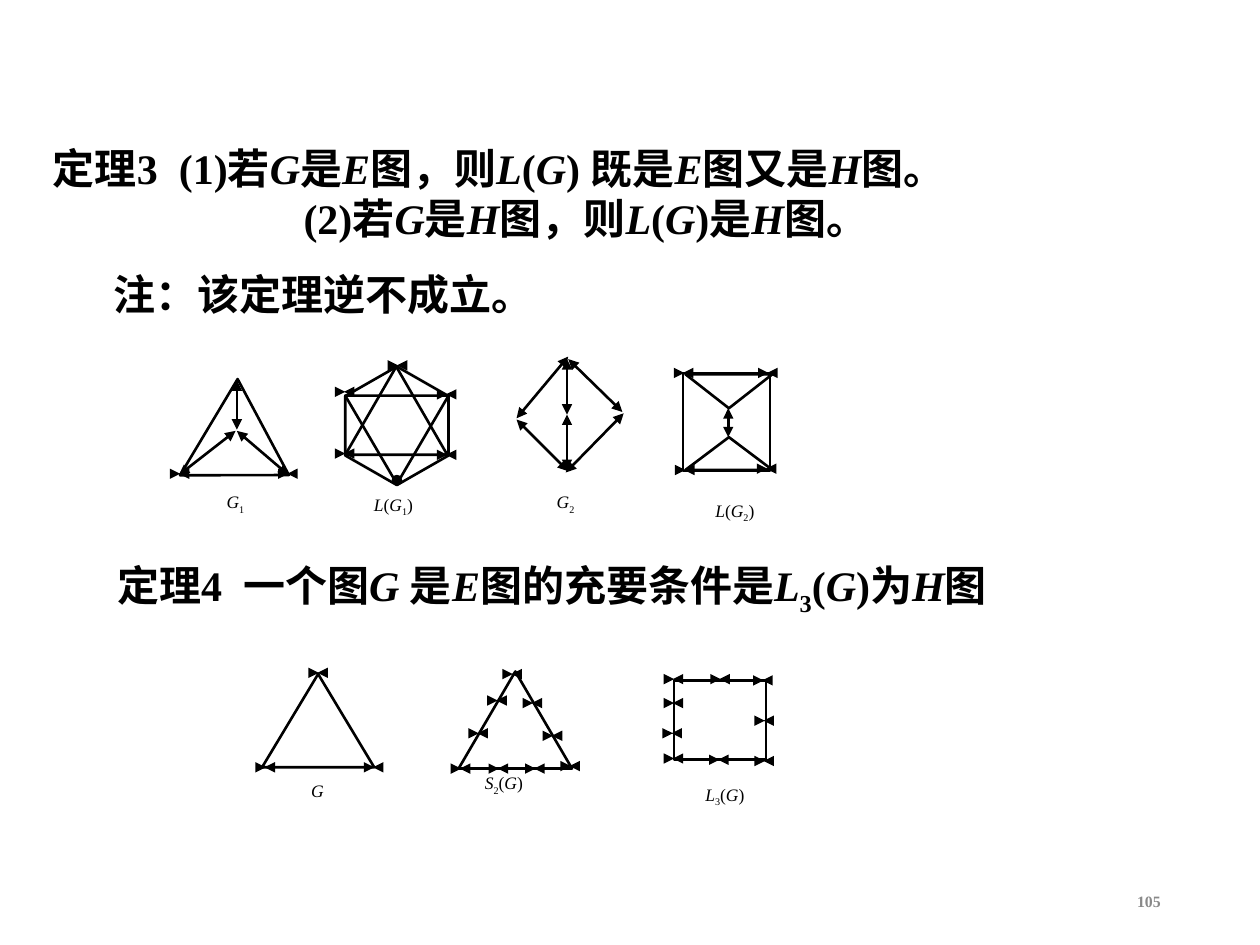
from dataclasses import dataclass
from itertools import groupby

from lxml.etree import SubElement
from pptx import Presentation
from pptx.dml.color import RGBColor
from pptx.enum.shapes import MSO_CONNECTOR, MSO_SHAPE
from pptx.enum.text import MSO_ANCHOR, MSO_AUTO_SIZE, PP_ALIGN
from pptx.oxml.ns import qn
from pptx.util import Inches, Pt


@dataclass(frozen=True)
class Theme:
    ink: RGBColor = RGBColor(0, 0, 0)
    muted: RGBColor = RGBColor(0x89, 0x89, 0x89)
    font: str = "Times New Roman"
    statement: int = 24
    label: int = 10
    number: int = 9
    edge: float = 1.5
    thin: float = 0.75


def apply(target, formats):
    for name, value in formats.items():
        setattr(target, name, value)


def split_math(text):
    """Split text into runs: capitals are italic, digits after them are subscripts."""
    def kind(pair):
        previous, char = pair
        if char.isascii() and char.isupper():
            return "italic"
        if char.isdigit() and previous.isascii() and previous.isupper():
            return "subscript"
        return "plain"

    pairs = zip(" " + text, text)
    return [(style, "".join(char for _, char in group)) for style, group in groupby(pairs, kind)]


class SlideBuilder:
    """Hold the theme and the current slide, and draw each kind of element."""

    def __init__(self, slide, theme):
        self.slide = slide
        self.theme = theme

    def place(self, holder, box):
        apply(holder, dict(zip(("left", "top", "width", "height"), map(Inches, box))))

    def fill_text(self, frame, lines, size, bold=False, color=None,
                  anchor=MSO_ANCHOR.TOP, fit=MSO_AUTO_SIZE.NONE):
        apply(frame, {"word_wrap": True, "auto_size": fit, "vertical_anchor": anchor})
        for index, (text, align, indent, tab) in enumerate(lines):
            paragraph = frame.add_paragraph() if index else frame.paragraphs[0]
            properties = paragraph._p.get_or_add_pPr()
            properties.set("marL", str(Inches(indent)))
            properties.set("indent", "0")
            SubElement(properties, qn("a:buNone"))
            if tab:
                stops = SubElement(properties, qn("a:tabLst"))
                SubElement(stops, qn("a:tab"), pos=str(Inches(tab)), algn="l")
            apply(paragraph, {"alignment": align, "space_before": Pt(0)})
            for style, part in split_math(text):
                run = paragraph.add_run()
                run.text = part
                apply(run.font, {"name": self.theme.font, "size": Pt(size), "bold": bold,
                                 "italic": style == "italic"})
                run.font.color.rgb = color or self.theme.ink
                if style == "subscript":
                    run._r.get_or_add_rPr().set("baseline", "-25000")

    def statement(self, holder, box, lines, anchor=MSO_ANCHOR.MIDDLE):
        self.place(holder, box)
        self.fill_text(holder.text_frame, lines, self.theme.statement, True,
                       anchor=anchor, fit=MSO_AUTO_SIZE.SHAPE_TO_FIT_TEXT)

    def text_box(self, box):
        return self.slide.shapes.add_textbox(*map(Inches, box))

    def label(self, text, box):
        self.fill_text(self.text_box(box).text_frame, [(text, PP_ALIGN.LEFT, 0, 0)],
                       self.theme.label)

    def page_number(self, text, box):
        self.fill_text(self.text_box(box).text_frame, [(text, PP_ALIGN.RIGHT, 0, 0)],
                       self.theme.number, True, self.theme.muted, MSO_ANCHOR.MIDDLE)

    def outline(self, preset, box, rotation=0, adjustment=None):
        figure = self.slide.shapes.add_shape(preset, *map(Inches, box))
        figure.shadow.inherit = False
        figure.fill.background()
        figure.line.color.rgb = self.theme.ink
        apply(figure.line, {"width": Pt(self.theme.edge)})
        figure.rotation = rotation
        if adjustment is not None:
            figure.adjustments[0] = adjustment

    def edge(self, start, end, width=None, head="triangle", tail="triangle"):
        connector = self.slide.shapes.add_connector(
            MSO_CONNECTOR.STRAIGHT, *map(Inches, (*start, *end)))
        connector.line.color.rgb = self.theme.ink
        connector.line.width = Pt(width or self.theme.edge)
        line = connector.line._get_or_add_ln()
        SubElement(line, qn("a:headEnd"), type=head)
        SubElement(line, qn("a:tailEnd"), type=tail)
        SubElement(connector._element.spPr, qn("a:effectLst"))

    def vertex(self, x, y, **ends):
        self.edge((x, y), (x + 0.01, y), **ends)


OUTLINES = [
    (MSO_SHAPE.ISOSCELES_TRIANGLE, (1.53, 3.21, 0.89, 0.74), 120.9),
    (MSO_SHAPE.HEXAGON, (2.68, 2.97, 0.94, 0.82), 90, 0.286),
    (MSO_SHAPE.ISOSCELES_TRIANGLE, (2.74, 2.91, 0.81, 0.7)),
    (MSO_SHAPE.ISOSCELES_TRIANGLE, (2.74, 3.14, 0.82, 0.7), 180),
    (MSO_SHAPE.RECTANGLE, (5.42, 2.96, 0.69, 0.78)),
    (MSO_SHAPE.ISOSCELES_TRIANGLE, (5.44, 3.47, 0.69, 0.26)),
    (MSO_SHAPE.ISOSCELES_TRIANGLE, (5.44, 2.97, 0.69, 0.27), 180),
    (MSO_SHAPE.ISOSCELES_TRIANGLE, (2.08, 5.35, 0.89, 0.74)),
    (MSO_SHAPE.ISOSCELES_TRIANGLE, (3.64, 5.33, 0.9, 0.77)),
    (MSO_SHAPE.RECTANGLE, (5.35, 5.4, 0.73, 0.63)),
]
EDGES = [
    ((1.88, 3.02), (1.88, 3.41)), ((1.87, 3.42), (1.42, 3.77)), ((1.88, 3.42), (2.29, 3.77)),
    ((4.5, 3.29), (4.5, 2.85)), ((4.51, 2.85), (4.94, 3.27)), ((4.51, 2.83), (4.1, 3.32)),
    ((4.5, 3.29), (4.5, 3.73)), ((4.1, 3.33), (4.51, 3.74)), ((4.95, 3.28), (4.49, 3.75)),
    ((5.78, 3.24), (5.78, 3.47)),
]
VERTICES = {
    "G1": [(1.42, 3.76), (2.28, 3.76)],
    "L(G1)": [(3.54, 3.13), (3.15, 2.9), (3.54, 3.61), (2.73, 3.6), (2.73, 3.11)],
    "G2": [],
    "L(G2)": [(5.42, 2.96), (6.09, 2.96), (5.43, 3.73), (6.08, 3.72)],
    "G": [(2.52, 5.34), (2.1, 6.09), (2.96, 6.09)],
    "S2(G)": [(3.65, 6.1), (4.06, 5.35), (3.94, 5.56), (4.52, 6.08), (4.38, 5.84),
              (4.22, 5.58), (3.79, 5.82), (4.24, 6.1), (3.95, 6.1)],
    "L3(G)": [(5.34, 6.02), (5.33, 5.82), (5.34, 5.58), (5.34, 5.39), (6.05, 5.4),
              (5.71, 5.39), (5.7, 6.03), (6.06, 6.04), (6.06, 5.72)],
}
LABELS = {
    "G1": (1.7, 3.85, 0.46, 0.29), "L(G1)": (2.87, 3.87, 0.67, 0.35),
    "G2": (4.32, 3.85, 0.44, 0.27), "L(G2)": (5.58, 3.92, 0.64, 0.36),
    "G": (2.37, 6.14, 0.35, 0.28), "S2(G)": (3.75, 6.08, 0.74, 0.35),
    "L3(G)": (5.5, 6.17, 0.65, 0.31),
}


def main():
    deck = Presentation()
    apply(deck, {"slide_width": Inches(10), "slide_height": Inches(7.5)})
    slide = deck.slides.add_slide(deck.slide_layouts[1])
    theme = Theme()
    builder = SlideBuilder(slide, theme)

    builder.statement(slide.shapes.title, (0.21, 1.08, 8.88, 0.9), [
        ("定理3\t(1)若G是E图，则L(G) 既是E图又是H图。", PP_ALIGN.LEFT, 0.11, 1.6),
        ("(2)若G是H图，则L(G)是H图。", PP_ALIGN.CENTER, 0, 0),
    ])
    note_box = (0.42, 2.08, 8.75, 0.5)
    builder.statement(builder.text_box(note_box), note_box,
                      [("注：该定理逆不成立。", PP_ALIGN.LEFT, 0.38, 0)], MSO_ANCHOR.TOP)
    builder.statement(slide.placeholders[1], (0.83, 4.19, 7.67, 0.96), [
        ("定理4\t一个图G 是E图的充要条件是L3(G)为H图", PP_ALIGN.LEFT, 0, 1.16),
    ])

    for figure in OUTLINES:
        builder.outline(*figure)
    for start, end in EDGES:
        builder.edge(start, end)
    for name, points in VERTICES.items():
        for x, y in points:
            builder.vertex(x, y)
        builder.label(name, LABELS[name])
    builder.vertex(3.14, 3.81, width=theme.thin, head="none", tail="oval")
    builder.page_number("105", (7.06, 6.95, 2.25, 0.4))
    deck.save("out.pptx")


if __name__ == "__main__":
    main()
